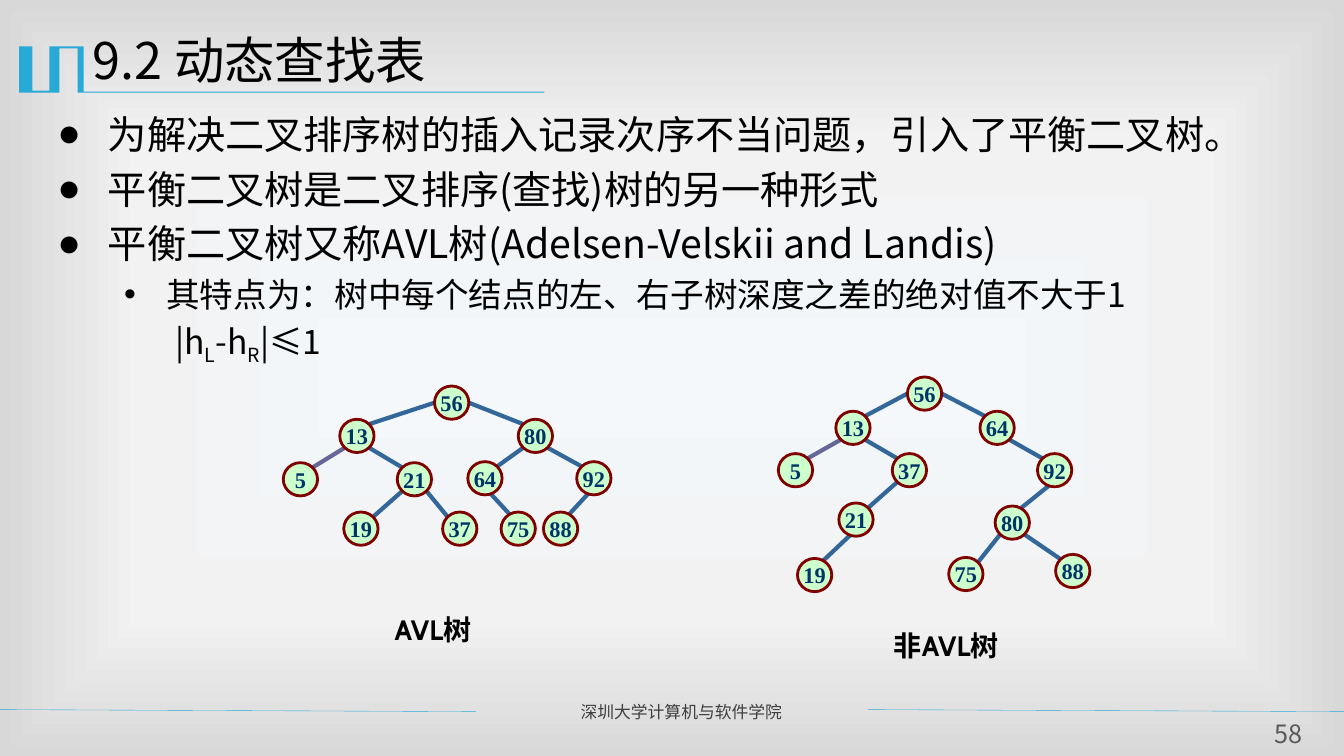
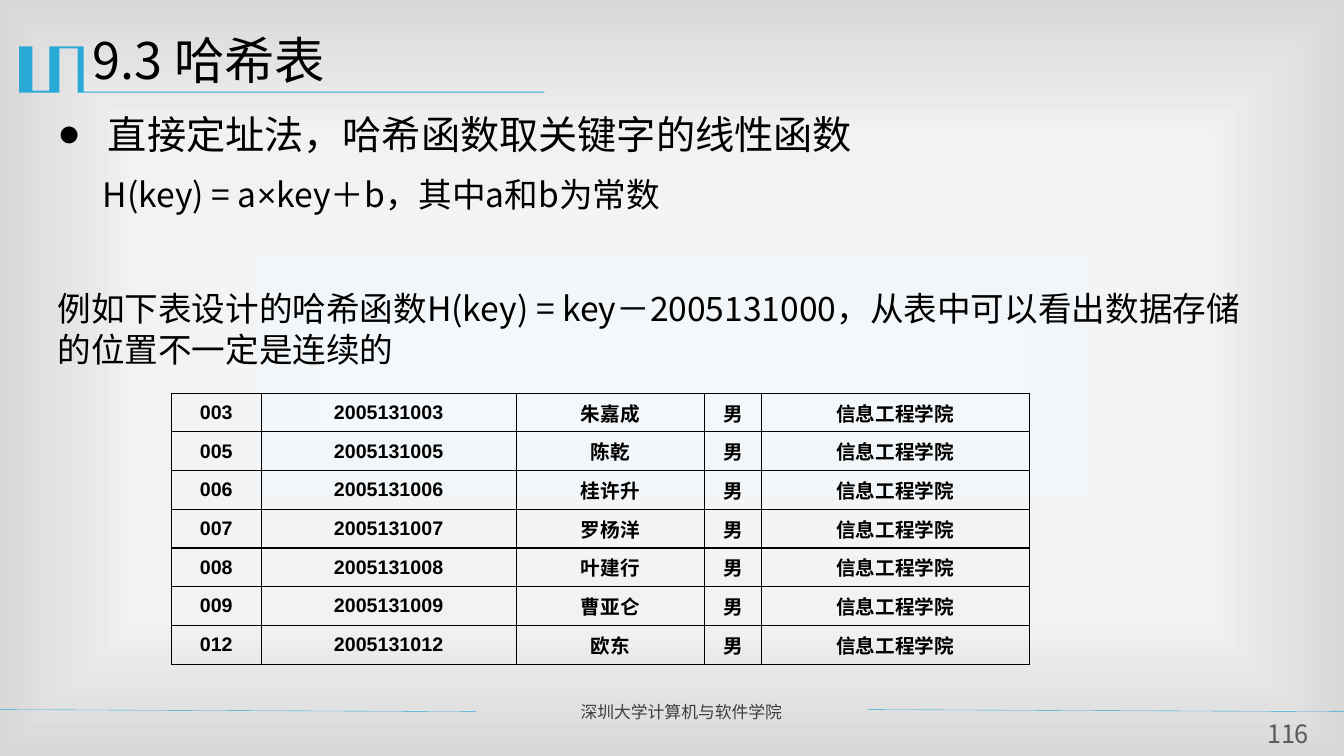
"""Build two lecture slides on search trees and hash tables."""
from dataclasses import dataclass
from math import cos, radians, sin

from lxml.etree import SubElement
from pptx import Presentation
from pptx.dml.color import RGBColor
from pptx.enum.shapes import MSO_CONNECTOR, MSO_SHAPE
from pptx.enum.text import MSO_ANCHOR, MSO_AUTO_SIZE, PP_ALIGN
from pptx.oxml import parse_xml
from pptx.oxml.ns import nsdecls, qn
from pptx.presentation import Presentation as Deck
from pptx.shapes.base import BaseShape
from pptx.slide import Slide
from pptx.text.text import TextFrame, _Paragraph as Para
from pptx.util import Inches, Pt

NOTO, ARIAL = "Noto Sans CJK SC", "Arial"
BLACK, BLUE, STEEL, PLUM = "000000", "28A9D6", "336699", "666699"
STOPS = ((0, "F4F8FB"), (63, "F2F2F2"), (100, "D8D8D8"))
SIZE = 0.34, 0.33

Box = tuple[float, float, float, float]
Spot = tuple[float, float]


@dataclass(frozen=True)
class Face:
    """Font look of a paragraph."""
    size: int
    color: str = BLACK
    name: str = NOTO
    bold: bool = False


@dataclass(frozen=True)
class Bit:
    """Piece of text with its own font or offset."""
    text: str
    name: str = ""
    base: int = 0


@dataclass(frozen=True)
class Item:
    """Body paragraph with its indent, bullet and gap above."""
    bits: tuple[Bit, ...]
    size: int
    left: float = 0
    hang: float = 0
    mark: str = ""
    gap: float = 0


@dataclass(frozen=True)
class Node:
    """Tree node with its corner and the key of its parent."""
    key: int
    left: float
    top: float
    boss: int = 0


@dataclass(frozen=True)
class Tree:
    """Set of nodes, root first, with a caption."""
    name: str
    box: Box
    nodes: tuple[Node, ...]


TITLE = Face(36)
FOOT = Face(12, "3F3F3F")
PAGE = Face(18, "595959")
KEY = Face(16, "003366", "Times New Roman", True)
NAME = Face(20, BLACK, "Cabin", True)
CELL = Face(14, BLACK, ARIAL, True)

BADGE = ((83, 46), (83, 91), (540, 91), (540, 92), (77, 92), (77, 48), (59, 48),
         (59, 92), (19, 92), (19, 46), (32, 46), (32, 90), (49, 90), (49, 46))

TREES = (
    Tree("AVL树", (3.67, 6.03, 1.25, 0.44), (
        Node(56, 4.31, 3.83), Node(13, 3.37, 4.16, 56), Node(80, 5.14, 4.16, 56),
        Node(5, 2.81, 4.59, 13), Node(21, 3.94, 4.59, 13),
        Node(64, 4.64, 4.58, 80), Node(92, 5.72, 4.58, 80),
        Node(19, 3.41, 5.08, 21), Node(37, 4.39, 5.08, 21),
        Node(75, 4.97, 5.08, 64), Node(88, 5.39, 5.08, 92))),
    Tree("非AVL树", (8.56, 6.19, 1.65, 0.44), (
        Node(56, 9, 3.74), Node(13, 8.29, 4.08, 56), Node(64, 9.72, 4.08, 56),
        Node(5, 7.72, 4.5, 13), Node(37, 8.85, 4.5, 13), Node(92, 10.29, 4.5, 64),
        Node(21, 8.32, 4.99, 37), Node(80, 9.87, 5.02, 92),
        Node(19, 7.91, 5.54, 21), Node(75, 9.41, 5.53, 80),
        Node(88, 10.47, 5.5, 80))),
)

PEOPLE = (("003", "朱嘉成"), ("005", "陈乾"), ("006", "桂许升"), ("007", "罗杨洋"),
          ("008", "叶建行"), ("009", "曹亚仑"), ("012", "欧东"))
COLS = (0.89, 2.53, 1.87, 0.56, 2.66)


def rgb(code: str) -> RGBColor:
    """Turn a hex string into a colour."""
    return RGBColor.from_string(code)


def inch(nums: tuple[float, ...]) -> list[int]:
    """Turn numbers into lengths."""
    return [Inches(num) for num in nums]


def style(para: Para, face: Face) -> None:
    """Set the font of a whole paragraph."""
    font = para.font
    font.size, font.bold, font.name = Pt(face.size), face.bold, face.name
    font.color.rgb = rgb(face.color)
    base = para._p.get_or_add_pPr().find(qn("a:defRPr"))
    SubElement(base, qn("a:ea")).set("typeface", NOTO)


def write(frame: TextFrame, text: str, face: Face, align: PP_ALIGN) -> None:
    """Fill a frame with one paragraph."""
    para = frame.paragraphs[0]
    para.text, para.alignment = text, align
    style(para, face)


def clear(frame: TextFrame) -> None:
    """Drop the margins of a frame."""
    frame.margin_left = frame.margin_right = 0
    frame.margin_top = frame.margin_bottom = 0


def label(slide: Slide, box: Box, text: str, face: Face,
          align: PP_ALIGN = PP_ALIGN.CENTER) -> TextFrame:
    """Add a wrapped text box."""
    frame = slide.shapes.add_textbox(*inch(box)).text_frame
    frame.word_wrap = True
    write(frame, text, face, align)
    return frame


def rule(slide: Slide, start: Spot, end: Spot, color: str, width: float) -> None:
    """Draw a straight line."""
    line = slide.shapes.add_connector(MSO_CONNECTOR.STRAIGHT, *inch(start + end))
    line.line.color.rgb, line.line.width = rgb(color), Pt(width)
    SubElement(line._element.spPr, qn("a:effectLst"))


def place(shape: BaseShape, box: Box) -> TextFrame:
    """Move a holder and return its frame, set to the top."""
    shape.left, shape.top, shape.width, shape.height = inch(box)
    frame = shape.text_frame
    frame.word_wrap, frame.auto_size = True, MSO_AUTO_SIZE.NONE
    frame.vertical_anchor = MSO_ANCHOR.TOP
    return frame


def paint(deck: Deck) -> None:
    """Give the master its gradient."""
    master = deck.slide_master
    master.background.fill.gradient()
    old = master.element.xpath(".//p:bg//a:gradFill")[0]
    stops = "".join(f'<a:gs pos="{pos * 1000}"><a:srgbClr val="{code}"/></a:gs>'
                    for pos, code in STOPS)
    new = parse_xml(
        f'<a:gradFill {nsdecls("a")} rotWithShape="1"><a:gsLst>{stops}</a:gsLst>'
        '<a:path path="rect"><a:fillToRect l="50000" t="50000" r="50000" '
        'b="50000"/></a:path></a:gradFill>')
    old.getparent().replace(old, new)


def start(deck: Deck, title: str, page: str) -> Slide:
    """Add a slide with the shared frame, title and number."""
    slide = deck.slides.add_slide(deck.slide_layouts[1])
    form = slide.shapes.build_freeform(*BADGE[0], scale=Inches(0.01))
    form.add_line_segments(BADGE[1:], close=True)
    badge = form.convert_to_shape()
    badge.shadow.inherit = False
    badge.fill.solid()
    badge.fill.fore_color.rgb = rgb(BLUE)
    badge.line.fill.background()
    for left, right in ((0, 4.72), (8.61, 13.33)):
        rule(slide, (left, 7.04), (right, 7.06), BLUE, 0.25)
    label(slide, (5.66, 6.91, 2.85, 0.3), "深圳大学计算机与软件学院", FOOT,
          PP_ALIGN.JUSTIFY)
    frame = place(slide.shapes.title, (0.82, 0.24, 12, 0.87))
    write(frame, title, TITLE, PP_ALIGN.LEFT)
    clear(label(slide, (12.48, 7.13, 0.59, 0.31), page, PAGE))
    return slide


def fill(slide: Slide, high: float, items: tuple[Item, ...]) -> None:
    """Write the body list."""
    frame = place(slide.placeholders[1], (0.47, 1.04, 12.13, high))
    for pos, item in enumerate(items):
        para = frame.add_paragraph() if pos else frame.paragraphs[0]
        props = para._p.get_or_add_pPr()
        props.set("marL", str(Inches(item.left)))
        props.set("indent", str(Inches(-item.hang)))
        if item.mark:
            SubElement(props, qn("a:buChar")).set("char", item.mark)
        else:
            SubElement(props, qn("a:buNone"))
        para.space_before = Pt(item.gap)
        style(para, Face(item.size))
        for bit in item.bits:
            run = para.add_run()
            run.text = bit.text
            if bit.name:
                run.font.name = bit.name
            if bit.base:
                run._r.get_or_add_rPr().set("baseline", str(bit.base * 1000))


def point(text: str, gap: float = 5.6) -> Item:
    """Make a main bullet."""
    return Item((Bit(text),), 28, 0.5, 0.5, "●", gap)


def rim(node: Node, angle: int) -> Spot:
    """Find a spot on the edge of a node, clockwise from the right."""
    wide, high = SIZE
    turn = radians(angle)
    return (node.left + wide / 2 * (1 + cos(turn)),
            node.top + high / 2 * (1 + sin(turn)))


def join(slide: Slide, boss: Node, node: Node) -> None:
    """Draw the edge from a parent to a child, steeper when they are close."""
    gap = node.left - boss.left
    near = abs(gap) < 0.43
    down, rise = (70, 60) if near else (45 if boss.boss else 0, 45)
    less = gap < 0
    rule(slide, rim(boss, 180 - down if less else down),
         rim(node, -rise if less else rise - 180),
         PLUM if node.key == 5 else STEEL, 3)


def plant(slide: Slide, tree: Tree) -> None:
    """Draw the edges, nodes and caption of a tree."""
    index = {node.key: node for node in tree.nodes}
    for node in tree.nodes[1:]:
        join(slide, index[node.boss], node)
    for node in tree.nodes:
        disc = slide.shapes.add_shape(MSO_SHAPE.OVAL,
                                      *inch((node.left, node.top) + SIZE))
        disc.shadow.inherit = False
        disc.fill.solid()
        disc.fill.fore_color.rgb = rgb("CCFFCC")
        disc.line.color.rgb, disc.line.width = rgb("800000"), Pt(2)
        frame = disc.text_frame
        clear(frame)
        frame.word_wrap, frame.vertical_anchor = False, MSO_ANCHOR.MIDDLE
        write(frame, str(node.key), KEY, PP_ALIGN.CENTER)
    label(slide, tree.box, tree.name, NAME)


def grid(slide: Slide) -> None:
    """Add the table of students."""
    box = (1.7, 3.9, sum(COLS), 2.69)
    table = slide.shapes.add_table(len(PEOPLE), len(COLS), *inch(box)).table
    table.first_row = table.horz_banding = False
    for col, width in zip(table.columns, COLS):
        col.width = Inches(width)
    for row, (code, name) in zip(table.rows, PEOPLE):
        texts = (code, f"2005131{code}", name, "男", "信息工程学院")
        for cell, text in zip(row.cells, texts):
            props = cell._tc.get_or_add_tcPr()
            for side in "LRTB":
                edge = SubElement(props, qn(f"a:ln{side}"), w=str(Pt(1)))
                ink = SubElement(edge, qn("a:solidFill"))
                SubElement(ink, qn("a:srgbClr"), val=BLACK)
            cell.fill.background()
            cell.margin_top = cell.margin_bottom = 0
            cell.vertical_anchor = MSO_ANCHOR.MIDDLE
            write(cell.text_frame, text, CELL, PP_ALIGN.CENTER)


def main() -> None:
    """Build and save the deck."""
    deck = Presentation()
    deck.slide_width, deck.slide_height = inch((13.33, 7.5))
    paint(deck)
    slide = start(deck, "9.2 动态查找表", "58")
    fill(slide, 2.6, (
        point("为解决二叉排序树的插入记录次序不当问题，引入了平衡二叉树。", 0),
        point("平衡二叉树是二叉排序(查找)树的另一种形式"),
        point("平衡二叉树又称AVL树(Adelsen-Velskii and Landis)"),
        Item((Bit("其特点为：树中每个结点的左、右子树深度之差的绝对值不大于1"),),
             24, 1.08, 0.42, "•", 4.8),
        Item((Bit("|h"), Bit("L", base=-25), Bit("-h"), Bit("R", base=-25),
              Bit("|≤1")), 24, 1.17, gap=4.8)))
    for tree in TREES:
        plant(slide, tree)
    slide = start(deck, "9.3 哈希表", "116")
    fill(slide, 2.7, (
        point("直接定址法，哈希函数取关键字的线性函数", 0),
        Item((Bit("H(key) = a"), Bit("×", ARIAL), Bit("key＋b，其中a和b为常数")),
             24, 0.45, gap=12),
        Item((Bit("例如下表设计的哈希函数H(key) = key－2005131000，"
                  "从表中可以看出数据存储的位置不一定是连续的"),), 24, gap=53)))
    grid(slide)
    deck.save("out.pptx")


if __name__ == "__main__":
    main()
